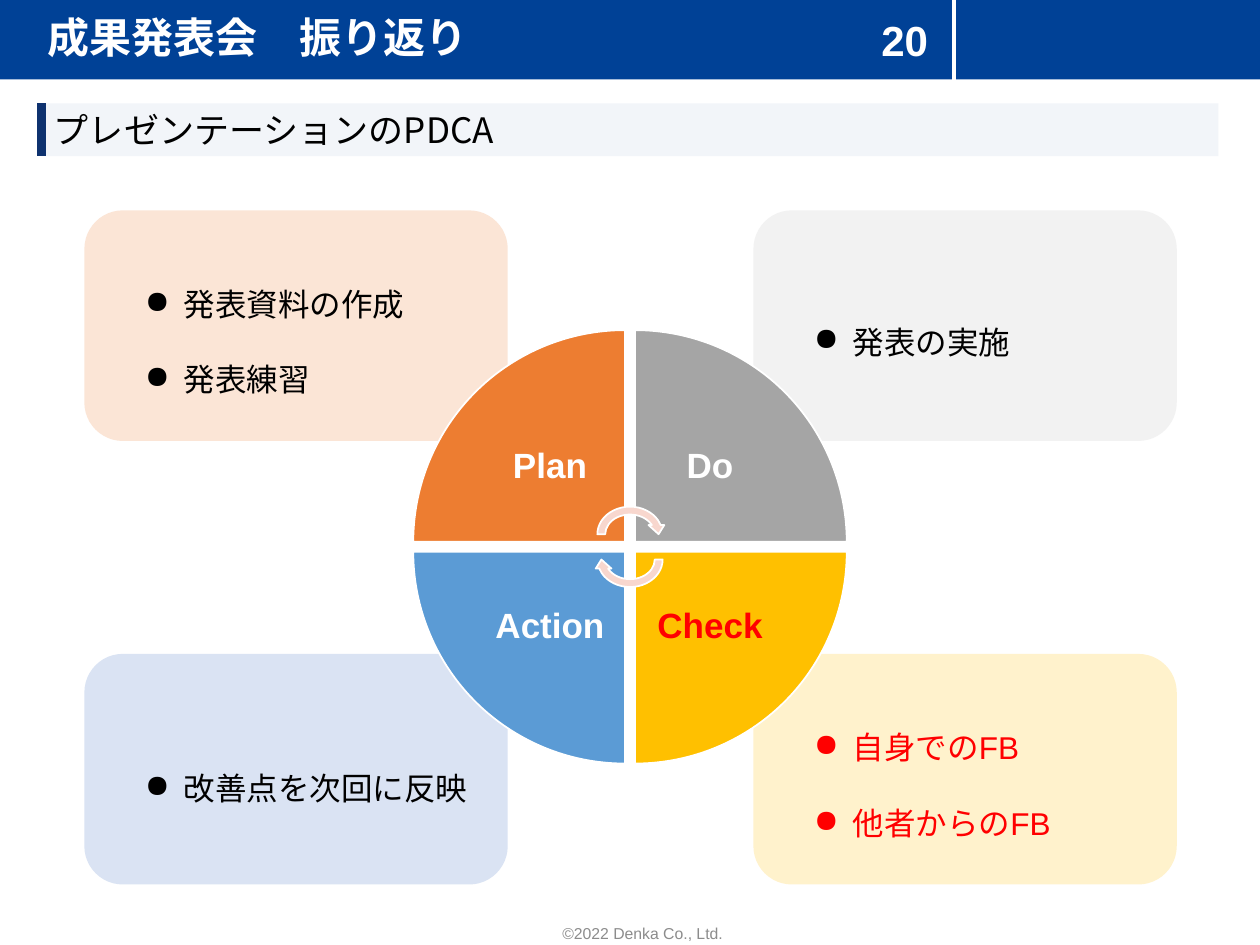
"""Build the PDCA review slide for the presentation event."""
from lxml import etree
from pptx import Presentation
from pptx.dml.color import RGBColor
from pptx.enum.lang import MSO_LANGUAGE_ID
from pptx.enum.shapes import MSO_CONNECTOR, MSO_SHAPE
from pptx.enum.text import MSO_ANCHOR, PP_ALIGN
from pptx.oxml.ns import qn
from pptx.util import Inches, Pt

RECT, CARD = MSO_SHAPE.RECTANGLE, MSO_SHAPE.ROUNDED_RECTANGLE
WEDGE, CYCLE = MSO_SHAPE.PIE_WEDGE, MSO_SHAPE.CIRCULAR_ARROW
STRAIGHT = MSO_CONNECTOR.STRAIGHT
MIDDLE, BOTTOM = MSO_ANCHOR.MIDDLE, MSO_ANCHOR.BOTTOM
LEFT, CENTER = PP_ALIGN.LEFT, PP_ALIGN.CENTER
JAPANESE = MSO_LANGUAGE_ID.JAPANESE

WHITE, BLACK, RED = "FFFFFF", "000000", "FF0000"
HEADING = {"size": 24, "color": WHITE, "bold": True}
STAGE = {"size": 20, "bold": True, "align": CENTER, "spacing": 0.9, "insets": (0.16,) * 4}
TASKS = {"size": 18, "spacing": 2.0, "bullet": "●"}

QUADRANTS = [
    {"column": 0, "row": 0, "turn": 0, "stage": "Plan", "wedge": "ED7D31", "card": "FBE5D6",
     "tasks": ["発表資料の作成", "発表練習"], "insets": (0.39, 0, 0.1, 0.05)},
    {"column": 1, "row": 0, "turn": 90, "stage": "Do", "wedge": "A5A5A5", "card": "F2F2F2",
     "tasks": ["発表の実施"], "insets": (0.39, 0, 0.1, 0.05)},
    {"column": 1, "row": 1, "turn": 180, "stage": "Check", "wedge": "FFC000", "card": "FFF2CC",
     "tasks": ["自身でのFB", "他者からのFB"], "insets": (0.39, 0, 0.1, 0.05), "accent": RED},
    {"column": 0, "row": 1, "turn": 270, "stage": "Action", "wedge": "5B9BD5", "card": "DAE3F3",
     "tasks": ["改善点を次回に反映"], "insets": (0.39, 0.05, 0, 0.05)},
]


def rgb(value):
    return RGBColor.from_string(value)


class SlideBuilder:
    def __init__(self, slide, font):
        self.slide, self.font = slide, font

    def fill_text(self, shape, lines, size, color, bold=False, font=None, align=LEFT,
                  anchor=MIDDLE, spacing=1.0, bullet=None, insets=(0.1, 0.05, 0.1, 0.05)):
        frame = shape.text_frame
        frame.text = "\n".join(lines)
        left, top, right, bottom = map(Inches, insets)
        layout = {"word_wrap": True, "vertical_anchor": anchor, "margin_left": left,
                  "margin_top": top, "margin_right": right, "margin_bottom": bottom}
        for name, value in layout.items():
            setattr(frame, name, value)
        style = {"name": font or self.font, "size": Pt(size), "bold": bold,
                 "language_id": JAPANESE}
        for paragraph in frame.paragraphs:
            if bullet:
                self.add_bullet(paragraph, bullet)
            paragraph.alignment, paragraph.line_spacing = align, spacing
            for run in paragraph.runs:
                for name, value in style.items():
                    setattr(run.font, name, value)
                run.font.color.rgb = rgb(color)

    def add_bullet(self, paragraph, character):
        properties = paragraph._p.get_or_add_pPr()
        indent = Inches(0.31)
        properties.set("marL", str(indent))
        properties.set("indent", str(-indent))
        etree.SubElement(properties, qn("a:buChar")).set("char", character)

    def title(self, words, box, **style):
        title = self.slide.shapes.title
        for name, value in zip(("left", "top", "width", "height"), box):
            setattr(title, name, Inches(value))
        self.fill_text(title, [words], **style)
        self.slide.shapes.element.append(title.element)

    def text(self, words, box, **style):
        self.fill_text(self.slide.shapes.add_textbox(*map(Inches, box)), [words], **style)

    def shape(self, kind, box, fill, outline=None, turn=0):
        shape = self.slide.shapes.add_shape(kind, *map(Inches, box))
        shape.shadow.inherit = False
        shape.rotation = turn
        shape.fill.solid()
        shape.fill.fore_color.rgb = rgb(fill)
        if outline:
            shape.line.color.rgb = rgb(outline)
            shape.line.width = Pt(1)
        else:
            shape.line.fill.background()
        return shape

    def vertical_line(self, x, top, bottom, color, width):
        line = self.slide.shapes.add_connector(STRAIGHT, *map(Inches, (x, top, x, bottom)))
        line.line.color.rgb = rgb(color)
        line.line.width = Pt(width)
        etree.SubElement(line.element.spPr, qn("a:effectLst"))


def main():
    deck = Presentation()
    deck.slide_width, deck.slide_height = Inches(10), Inches(7.5)
    page = SlideBuilder(deck.slides.add_slide(deck.slide_layouts[5]), "Arial")

    page.text("©2022 Denka Co., Ltd.", (3.41, 7.13, 3.38, 0.4), size=9, color="8C8C8C",
              align=CENTER, anchor=BOTTOM)
    page.shape(RECT, (-0.01, -0.03, 10.01, 0.66), "004196")
    page.vertical_line(7.57, -0.03, 0.72, WHITE, 2.25)
    page.title("成果発表会　振り返り", (0.28, 0, 6.51, 0.63), spacing=0.9, **HEADING)
    page.text("20", (6.85, 0, 0.66, 0.63), align=CENTER, **HEADING)

    topic = page.shape(RECT, (0.33, 0.82, 9.34, 0.42), "F2F5F9")
    page.fill_text(topic, ["プレゼンテーションのPDCA"], size=20, color=BLACK,
                   font="Noto Sans CJK JP")
    page.vertical_line(0.33, 0.82, 1.24, "0E326F", 5)

    for part in QUADRANTS:
        box = (0.67 + 5.31 * part["column"], 1.67 + 3.52 * part["row"], 3.36, 1.83)
        card = page.shape(CARD, box, part["card"])
        page.fill_text(card, part["tasks"], color=part.get("accent", BLACK),
                       insets=part["insets"], **TASKS)

    for part in QUADRANTS:
        column, row = part["column"], part["row"]
        page.shape(WEDGE, (3.28 + 1.76 * column, 2.62 + 1.76 * row, 1.68, 1.68),
                   part["wedge"], WHITE, part["turn"])
        page.text(part["stage"], (3.77 + 1.27 * column, 3.11 + 1.27 * row, 1.19, 1.19),
                  color=part.get("accent", WHITE), **STAGE)

    for top, turn in ((3.99, 0), (4.19, 180)):
        page.shape(CYCLE, (4.71, top, 0.58, 0.5), "F8D7CE", WHITE, turn)

    deck.save("out.pptx")


if __name__ == "__main__":
    main()
